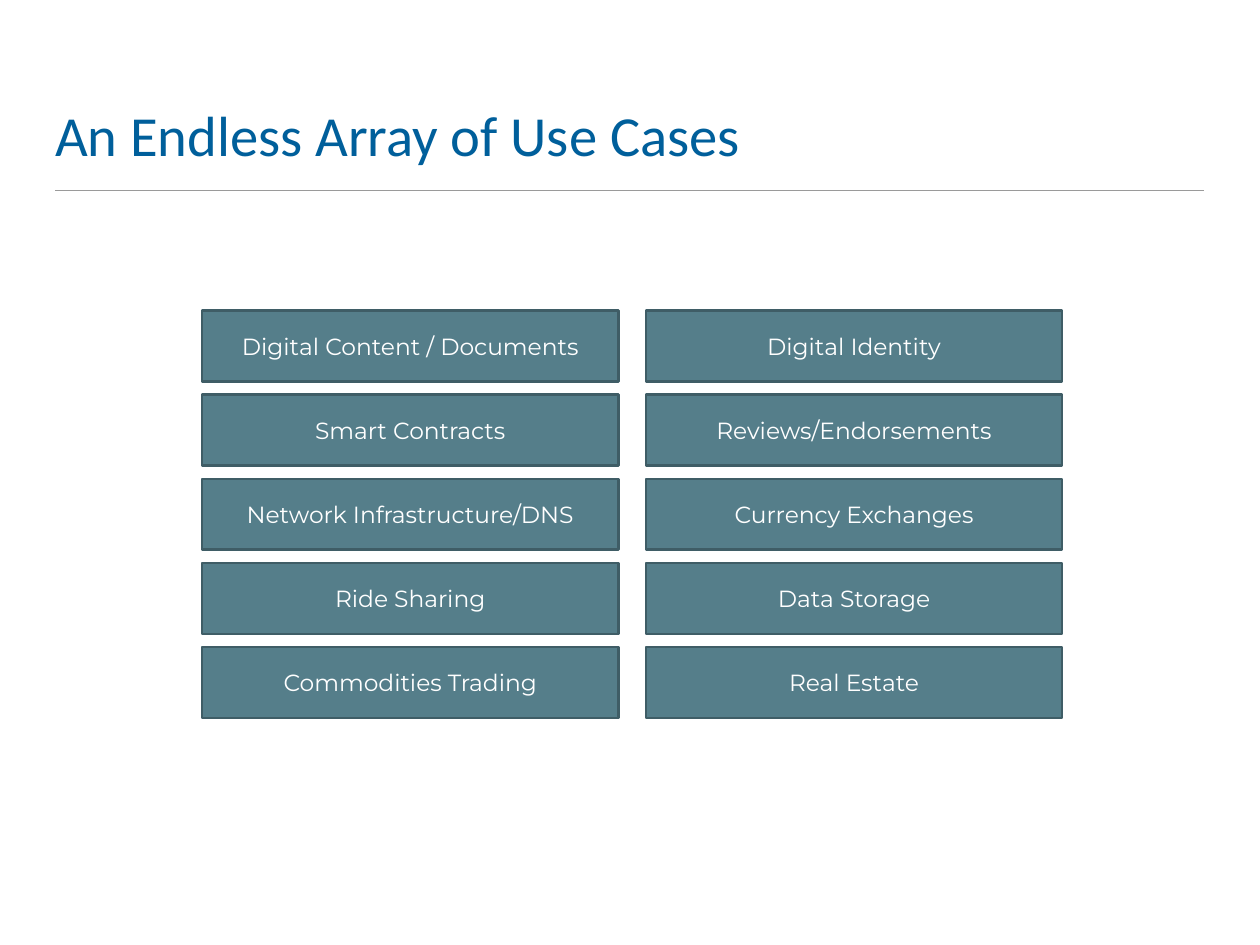
from dataclasses import dataclass

from pptx import Presentation
from pptx.dml.color import RGBColor
from pptx.enum.shapes import MSO_CONNECTOR, MSO_SHAPE
from pptx.enum.text import MSO_ANCHOR, MSO_AUTO_SIZE, PP_ALIGN
from pptx.oxml.ns import qn
from pptx.util import Pt
from lxml.etree import SubElement


@dataclass(frozen=True)
class Theme:
    """Colours, fonts and type sizes of the slide."""
    title: RGBColor = RGBColor(0x00, 0x5F, 0x9B)
    rule: RGBColor = RGBColor(0x9A, 0x9A, 0x9A)
    fill: RGBColor = RGBColor(0x55, 0x7E, 0x8A)
    edge: RGBColor = RGBColor(0x3F, 0x5D, 0x66)
    label: RGBColor = RGBColor(0xFF, 0xFF, 0xFF)
    title_font: str = "Calibri"
    label_font: str = "Montserrat"
    title_size: int = 46
    label_size: int = 19


THEME = Theme()

USE_CASES = [
    ("Digital Content / Documents", "Digital Identity"),
    ("Smart Contracts", "Reviews/Endorsements"),
    ("Network Infrastructure/DNS", "Currency Exchanges"),
    ("Ride Sharing", "Data Storage"),
    ("Commodities Trading", "Real Estate"),
]


def set_text(tf, text, font, size, color, align, anchor, inset):
    """Write one formatted run into a text frame."""
    tf.word_wrap = True
    tf.auto_size = MSO_AUTO_SIZE.NONE
    tf.vertical_anchor = anchor
    tf.margin_left = tf.margin_right = Pt(inset)
    tf.margin_top = tf.margin_bottom = Pt(inset)
    p = tf.paragraphs[0]
    p.alignment = align
    r = p.add_run()
    r.text = text
    r.font.name = font
    r.font.size = Pt(size)
    r.font.color.rgb = color


def add_header(s, text, left, top, width, height):
    """Place the title in the box with a rule along its lower edge."""
    rule_gap = 18.9
    sp = s.shapes.title
    sp.left, sp.top = Pt(left), Pt(top)
    sp.width, sp.height = Pt(width), Pt(height - rule_gap)
    set_text(sp.text_frame, text, THEME.title_font, THEME.title_size,
             THEME.title, PP_ALIGN.LEFT, MSO_ANCHOR.BOTTOM, 0)
    rule = s.shapes.add_connector(
        MSO_CONNECTOR.STRAIGHT, Pt(left), Pt(top + height),
        Pt(left + width), Pt(top + height))
    rule.line.color.rgb = THEME.rule
    rule.line.width = Pt(1)
    SubElement(rule._element.spPr, qn("a:effectLst"))


def add_use_cases(s, rows, left, top, width, height):
    """Fill the box with an even grid of labelled tiles."""
    col_gap, row_gap = 22.3, 10.8
    cols = len(rows[0])
    tile_w = (width - (cols - 1) * col_gap) / cols
    tile_h = (height - (len(rows) - 1) * row_gap) / len(rows)
    for i, row in enumerate(rows):
        for j, text in enumerate(row):
            sp = s.shapes.add_shape(
                MSO_SHAPE.RECTANGLE,
                Pt(left + j * (tile_w + col_gap)),
                Pt(top + i * (tile_h + row_gap)),
                Pt(tile_w), Pt(tile_h))
            sp.shadow.inherit = False
            sp.fill.solid()
            sp.fill.fore_color.rgb = THEME.fill
            sp.line.color.rgb = THEME.edge
            sp.line.width = Pt(2)
            set_text(sp.text_frame, text, THEME.label_font, THEME.label_size,
                     THEME.label, PP_ALIGN.CENTER, MSO_ANCHOR.MIDDLE, 4)


def main():
    """Build the slide and save it."""
    prs = Presentation()
    prs.slide_width, prs.slide_height = Pt(1024), Pt(768)
    s = prs.slides.add_slide(prs.slide_layouts[5])
    add_header(s, "An Endless Array of Use Cases", 44.8, 26, 934, 129)
    add_use_cases(s, USE_CASES, 164.2, 252.4, 699.1, 331.2)
    prs.save("out.pptx")


if __name__ == "__main__":
    main()
